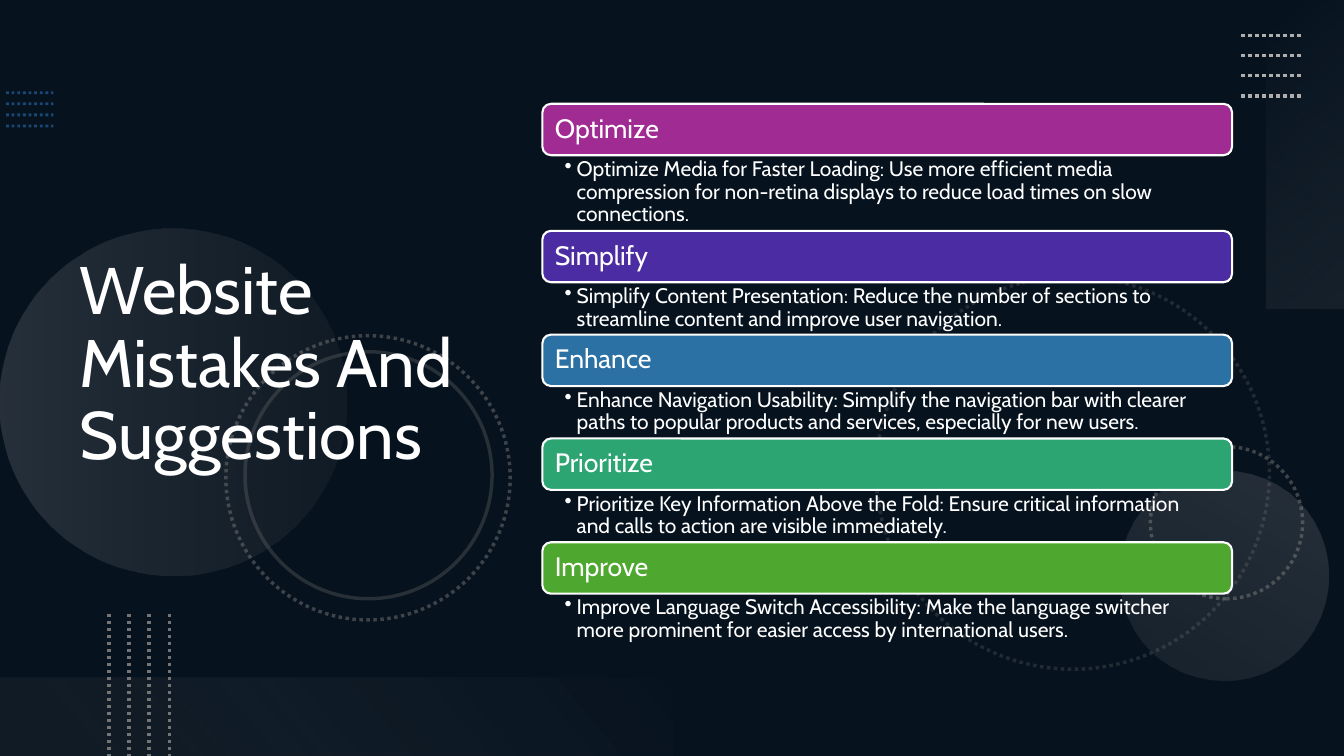
"""Build a dark slide with a title and five coloured suggestion bars."""
from dataclasses import dataclass
from typing import Optional

from lxml import etree
from pptx import Presentation
from pptx import util as u
from pptx.dml import color as rgb
from pptx.enum import dml, shapes, text
from pptx.oxml import ns

PX = 9144
FONT = "Cabin"
COLORS = {
    "navy": "0E2841", "black": "000000", "white": "FFFFFF", "blue": "2D7FCF",
    "grey": "747474", "silver": "AEAEAE", "pale": "F6F6F6", "mist": "F1F1F1",
    "magenta": "A02B93", "violet": "4B2CA2", "steel": "2C71A4",
    "teal": "2DA573", "green": "4EA72E",
}


@dataclass
class Stop:
    place: int
    color: str
    opacity: int


@dataclass
class Stroke:
    color: str
    points: float
    dotted: bool = True
    opacity: int = 100


@dataclass
class Figure:
    kind: shapes.MSO_SHAPE
    box: tuple[int, int, int, int]
    rotation: int = 0
    fill: Optional[str] = None
    opacity: int = 100
    stops: tuple[Stop, ...] = ()
    angle: int = 90
    stroke: Optional[Stroke] = None


@dataclass
class DotLines:
    start: tuple[int, int]
    length: tuple[int, int]
    step: tuple[int, int]
    stroke: Stroke
    count: int = 4


@dataclass
class Suggestion:
    heading: str
    color: str
    detail: str
    detail_height: int = 52


RECT, OVAL = shapes.MSO_SHAPE.RECTANGLE, shapes.MSO_SHAPE.OVAL
ROUNDED = shapes.MSO_SHAPE.ROUNDED_RECTANGLE
OVERLAY = Figure(RECT, (0, 0, 1333, 750), fill="black", opacity=53)
DECOR = [
    DotLines((6, 92), (47, 0), (0, 11), Stroke("blue", 2, opacity=50)),
    Figure(OVAL, (869, 274, 390, 390), 75, stroke=Stroke("grey", 2.5, opacity=25)),
    Figure(OVAL, (1141, 443, 151, 151), 270, stroke=Stroke("grey", 2.5, opacity=50)),
    Figure(OVAL, (0, 227, 344, 344), 270,
           stops=(Stop(0, "silver", 20), Stop(100, "grey", 10))),
    Figure(OVAL, (1110, 467, 208, 208), 210,
           stops=(Stop(0, "silver", 10), Stop(100, "silver", 20))),
    Figure(OVAL, (224, 333, 282, 282), 75, stroke=Stroke("grey", 2.5, opacity=50)),
    Figure(OVAL, (243, 349, 245, 245), 75, stroke=Stroke("grey", 2.5, False, 30)),
    Figure(RECT, (1142, 114, 306, 78), 270, angle=140,
           stops=(Stop(0, "pale", 0), Stop(100, "silver", 10))),
    DotLines((1231, 35), (60, 0), (0, 20), Stroke("silver", 2.5)),
    Figure(RECT, (0, 672, 667, 78), 180, angle=140,
           stops=(Stop(10, "grey", 10), Stop(100, "mist", 0))),
    DotLines((108, 609), (0, 141), (20, 0), Stroke("grey", 2.5)),
]
SUGGESTIONS = [
    Suggestion("Optimize", "magenta", "Optimize Media for Faster Loading: Use more efficient media "
               "compression for non-retina displays to reduce load times on slow connections.", 75),
    Suggestion("Simplify", "violet", "Simplify Content Presentation: Reduce the number of sections "
               "to streamline content and improve user navigation."),
    Suggestion("Enhance", "steel", "Enhance Navigation Usability: Simplify the navigation bar with "
               "clearer paths to popular products and services, especially for new users."),
    Suggestion("Prioritize", "teal", "Prioritize Key Information Above the Fold: Ensure critical "
               "information and calls to action are visible immediately."),
    Suggestion("Improve", "green", "Improve Language Switch Accessibility: Make the language "
               "switcher more prominent for easier access by international users."),
]
LIST_LEFT, LIST_TOP, LIST_WIDTH, BAR_HEIGHT = 538, 103, 684, 51


def scaled(lengths: tuple[int, ...]) -> list[int]:
    return [length * PX for length in lengths]


def paint(name: str) -> rgb.RGBColor:
    return rgb.RGBColor.from_string(COLORS[name])


def add_node(parent, tag: str, **values):
    return etree.SubElement(parent, ns.qn(tag), {key: str(value) for key, value in values.items()})


def set_opacity(shape, color_route: str, percent: int) -> None:
    if percent < 100:
        node = shape._element.spPr.xpath(color_route)[0]
        add_node(node, "a:alpha", val=percent * 1000)


def apply_stroke(shape, stroke: Stroke) -> None:
    shape.line.color.rgb = paint(stroke.color)
    shape.line.width = u.Pt(stroke.points)
    if stroke.dotted:
        shape.line.dash_style = dml.MSO_LINE.ROUND_DOT
    set_opacity(shape, "a:ln/a:solidFill/a:srgbClr", stroke.opacity)


def apply_gradient(shape, stops: tuple[Stop, ...], angle: int) -> None:
    gradient = etree.Element(ns.qn("a:gradFill"), {"rotWithShape": "1"})
    stop_list = add_node(gradient, "a:gsLst")
    for stop in stops:
        mark = add_node(stop_list, "a:gs", pos=stop.place * 1000)
        tint = add_node(mark, "a:srgbClr", val=COLORS[stop.color])
        add_node(tint, "a:alpha", val=stop.opacity * 1000)
    add_node(gradient, "a:lin", ang=angle * 60000, scaled=0)
    shape._element.spPr.xpath("a:prstGeom")[0].addnext(gradient)


def draw_figure(page, figure: Figure):
    shape = page.shapes.add_shape(figure.kind, *scaled(figure.box))
    shape.rotation = figure.rotation
    shape.shadow.inherit = False
    if figure.stops:
        apply_gradient(shape, figure.stops, figure.angle)
    elif figure.fill:
        shape.fill.solid()
        shape.fill.fore_color.rgb = paint(figure.fill)
        set_opacity(shape, "a:solidFill/a:srgbClr", figure.opacity)
    else:
        shape.fill.background()
    if figure.stroke:
        apply_stroke(shape, figure.stroke)
    else:
        shape.line.fill.background()
    return shape


def draw_dot_lines(page, lines: DotLines) -> None:
    for index in range(lines.count):
        x, y = (at + index * gap for at, gap in zip(lines.start, lines.step))
        ends = (x, y, x + lines.length[0], y + lines.length[1])
        connector = page.shapes.add_connector(shapes.MSO_CONNECTOR.STRAIGHT, *scaled(ends))
        apply_stroke(connector, lines.stroke)
        add_node(connector._element.spPr, "a:effectLst")


def write(box, words: str, size: int, anchor: text.MSO_ANCHOR, insets: tuple[int, ...]):
    left, top, right, bottom = scaled(insets)
    frame = box.text_frame
    frame_format = {"word_wrap": True, "vertical_anchor": anchor, "margin_left": left,
                    "margin_top": top, "margin_right": right, "margin_bottom": bottom}
    para = frame.paragraphs[0]
    span = para.add_run()
    para_format = {"alignment": text.PP_ALIGN.LEFT, "line_spacing": 0.9}
    span_format = {"name": FONT, "size": u.Pt(size)}
    for target, values in ((frame, frame_format), (para, para_format), (span.font, span_format)):
        for name, value in values.items():
            setattr(target, name, value)
    span.text = words
    span.font.color.rgb = paint("white")
    return para


def draw_suggestion(page, item: Suggestion, top: int) -> int:
    bar = draw_figure(page, Figure(ROUNDED, (LIST_LEFT, top, LIST_WIDTH, BAR_HEIGHT),
                                   fill=item.color, stroke=Stroke("white", 1.5, False)))
    write(bar, item.heading, 19, text.MSO_ANCHOR.MIDDLE, (10, 10, 10, 10))
    top += BAR_HEIGHT
    box = page.shapes.add_textbox(*scaled((LIST_LEFT, top, LIST_WIDTH, item.detail_height)))
    para = write(box, item.detail, 15, text.MSO_ANCHOR.TOP, (22, 3, 15, 3))
    layout = para._p.get_or_add_pPr()
    layout.set("marL", str(12 * PX))
    layout.set("indent", str(-12 * PX))
    add_node(layout, "a:buChar", char="•")
    return top + item.detail_height


def main() -> None:
    deck = Presentation()
    deck.slide_width, deck.slide_height = scaled((1333, 750))
    page = deck.slides.add_slide(deck.slide_layouts[6])
    page.background.fill.solid()
    page.background.fill.fore_color.rgb = paint("navy")
    for part in [OVERLAY, *DECOR]:
        if isinstance(part, DotLines):
            draw_dot_lines(page, part)
        else:
            draw_figure(page, part)
    title = page.shapes.add_textbox(*scaled((69, 54, 459, 617)))
    write(title, "Website Mistakes And Suggestions", 48, text.MSO_ANCHOR.MIDDLE, (10, 5, 10, 5))
    top = LIST_TOP
    for item in SUGGESTIONS:
        top = draw_suggestion(page, item, top)
    deck.save("out.pptx")


if __name__ == "__main__":
    main()
